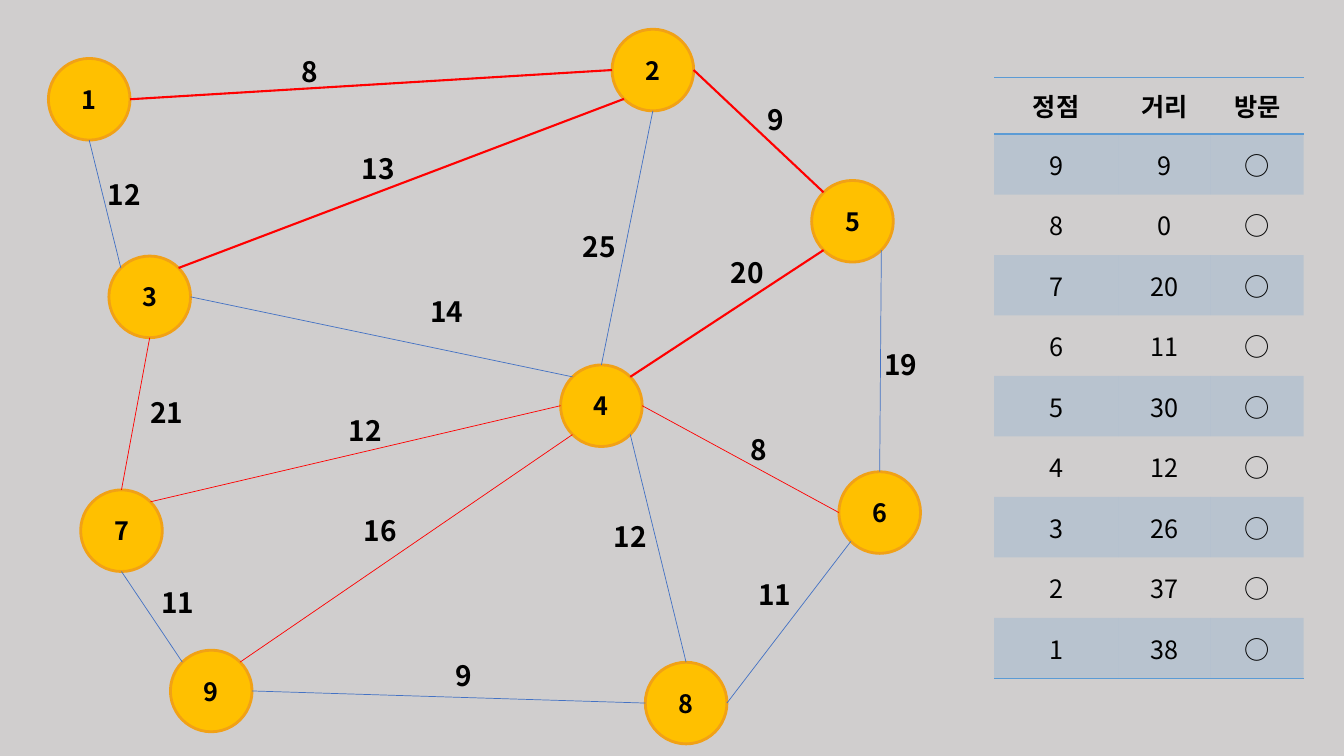
import math
from dataclasses import dataclass
from enum import Enum

from pptx import Presentation
from pptx import util as u
from pptx.dml.color import RGBColor
from pptx.enum import shapes, text
from pptx.oxml import parse_xml
from pptx.oxml.ns import nsdecls, qn
from pptx.util import Inches

BACKGROUND = RGBColor(0xD0, 0xCE, 0xCE)
BLACK = RGBColor(0, 0, 0)
AMBER = RGBColor(0xFF, 0xC0, 0x00)
ORANGE = RGBColor(0xF1, 0xA1, 0x16)
RED = RGBColor(0xFF, 0, 0)
BLUE = RGBColor(0x44, 0x72, 0xC4)
TABLE_BLUE = RGBColor(0x5B, 0x9B, 0xD5)

FONT = "Noto Sans CJK KR"
DIAMETER = 0.81
THIN, THICK = 0.5, 1.5
NO_STYLE = "{2D5ABB26-0587-4C30-8999-92F81FD0307C}"


class Side(Enum):
    """Attachment point on a node, as a clockwise angle in degrees."""
    RIGHT = 0
    LOWER_RIGHT = 45
    BOTTOM = 90
    LOWER_LEFT = 135
    LEFT = 180
    UPPER_LEFT = 225
    TOP = 270
    UPPER_RIGHT = 315


@dataclass(frozen=True)
class Node:
    """A numbered vertex and its top left corner in inches."""
    number: int
    left: float
    top: float

    def point(self, side: Side) -> tuple:
        """Return the position of a side on the rim."""
        angle, radius = math.radians(side.value), DIAMETER / 2
        return (Inches(self.left + radius * (1 + math.cos(angle))),
                Inches(self.top + radius * (1 + math.sin(angle))))


@dataclass(frozen=True)
class Edge:
    """A weighted link between two nodes, with the corner of its label."""
    start: int
    start_side: Side
    end: int
    end_side: Side
    weight: int
    left: float
    top: float
    color: RGBColor = BLUE
    width: float = THIN


NODES = {n.number: n for n in (
    Node(1, 0.48, 0.58), Node(2, 6.07, 0.29), Node(3, 1.08, 2.54),
    Node(4, 5.56, 3.62), Node(5, 8.05, 1.79), Node(6, 8.32, 4.68),
    Node(7, 0.8, 4.86), Node(8, 6.4, 6.57), Node(9, 1.69, 6.45),
)}

EDGES = (
    Edge(1, Side.RIGHT, 2, Side.LEFT, 8, 2.89, 0.49, RED, THICK),
    Edge(1, Side.BOTTOM, 3, Side.UPPER_LEFT, 12, 0.97, 1.71),
    Edge(8, Side.TOP, 4, Side.LOWER_RIGHT, 12, 5.99, 5.1),
    Edge(2, Side.BOTTOM, 4, Side.TOP, 25, 5.68, 2.23),
    Edge(4, Side.LOWER_LEFT, 9, Side.UPPER_RIGHT, 16, 3.51, 5.05, RED),
    Edge(7, Side.TOP, 3, Side.BOTTOM, 21, 1.39, 3.87, RED),
    Edge(5, Side.UPPER_LEFT, 2, Side.RIGHT, 9, 7.51, 0.97, RED, THICK),
    Edge(3, Side.RIGHT, 4, Side.UPPER_LEFT, 14, 4.17, 2.87),
    Edge(3, Side.UPPER_RIGHT, 2, Side.LOWER_LEFT, 13, 3.49, 1.45, RED, THICK),
    Edge(7, Side.UPPER_RIGHT, 4, Side.LEFT, 12, 3.36, 4.05, RED),
    Edge(4, Side.RIGHT, 6, Side.LEFT, 8, 7.35, 4.24, RED),
    Edge(5, Side.LOWER_LEFT, 4, Side.UPPER_RIGHT, 20, 7.15, 2.49, RED, THICK),
    Edge(5, Side.LOWER_RIGHT, 6, Side.TOP, 19, 8.67, 3.4),
    Edge(8, Side.RIGHT, 6, Side.LOWER_LEFT, 11, 7.42, 5.68),
    Edge(7, Side.BOTTOM, 9, Side.UPPER_LEFT, 11, 1.5, 5.76),
    Edge(9, Side.RIGHT, 8, Side.LEFT, 9, 4.42, 6.48),
)

HEADINGS = ("정점", "거리", "방문")
DISTANCES = {9: 9, 8: 0, 7: 20, 6: 11, 5: 30, 4: 12, 3: 26, 2: 37, 1: 38}
COLUMN_WIDTHS = (1.23, 0.92, 0.92)
HEADER_HEIGHT, ROW_HEIGHT = 0.56, 0.6


def write(tf, content: str, size: float, bold: bool = True,
          align=text.PP_ALIGN.CENTER) -> None:
    """Write one formatted run into a text frame."""
    p = tf.paragraphs[0]
    p.alignment = align
    r = p.add_run()
    r.text = content
    r.font.color.rgb = BLACK
    for name, value in {"name": FONT, "size": u.Pt(size), "bold": bold}.items():
        setattr(r.font, name, value)
    r._r.get_or_add_rPr().append(
        parse_xml(f'<a:ea {nsdecls("a")} typeface="{FONT}"/>'))


def add_node(s, node: Node) -> None:
    """Draw a numbered circle."""
    sp = s.shapes.add_shape(shapes.MSO_SHAPE.OVAL, Inches(node.left),
                            Inches(node.top), Inches(DIAMETER), Inches(DIAMETER))
    sp.shadow.inherit = False
    sp.fill.solid()
    sp.fill.fore_color.rgb = AMBER
    sp.line.color.rgb = ORANGE
    sp.line.width = u.Pt(2)
    sp.text_frame.vertical_anchor = text.MSO_ANCHOR.MIDDLE
    write(sp.text_frame, str(node.number), 18)


def add_edge(s, edge: Edge) -> None:
    """Draw the line of an edge and its weight."""
    line = s.shapes.add_connector(
        shapes.MSO_CONNECTOR.STRAIGHT,
        *NODES[edge.start].point(edge.start_side),
        *NODES[edge.end].point(edge.end_side))
    line.line.color.rgb = edge.color
    line.line.width = u.Pt(edge.width)
    line._element.spPr.append(parse_xml(f'<a:effectLst {nsdecls("a")}/>'))

    label = str(edge.weight)
    width = 0.36 if len(label) == 1 else 0.53
    tf = s.shapes.add_textbox(Inches(edge.left), Inches(edge.top),
                              Inches(width), Inches(0.44)).text_frame
    tf.word_wrap = False
    tf.auto_size = text.MSO_AUTO_SIZE.SHAPE_TO_FIT_TEXT
    write(tf, label, 20, align=text.PP_ALIGN.LEFT)


def add_border(cell, tag: str) -> None:
    """Add a blue border to a cell; tag is lnT or lnB."""
    cell._tc.get_or_add_tcPr().append(parse_xml(
        f'<a:{tag} {nsdecls("a")} w="{u.Pt(1)}"><a:solidFill>'
        f'<a:srgbClr val="{TABLE_BLUE}"/></a:solidFill></a:{tag}>'))


def shade(cell, banded: bool) -> None:
    """Give a cell a translucent band or no fill."""
    if not banded:
        cell.fill.background()
        return
    cell.fill.solid()
    cell.fill.fore_color.rgb = TABLE_BLUE
    color = cell._tc.tcPr.find(qn("a:solidFill")).find(qn("a:srgbClr"))
    color.append(parse_xml(f'<a:alpha {nsdecls("a")} val="20000"/>'))


def add_distance_table(s) -> None:
    """Draw the table of vertices, distances and visits."""
    rows = [HEADINGS] + [(str(v), str(d), "○") for v, d in DISTANCES.items()]
    heights = [HEADER_HEIGHT] + [ROW_HEIGHT] * len(DISTANCES)
    table = s.shapes.add_table(
        len(rows), len(HEADINGS), Inches(9.86), Inches(0.77),
        Inches(sum(COLUMN_WIDTHS)), Inches(sum(heights))).table
    table._tbl.tblPr.find(qn("a:tableStyleId")).text = NO_STYLE
    table.horz_banding = False
    for column, width in zip(table.columns, COLUMN_WIDTHS):
        column.width = Inches(width)
    for i, values in enumerate(rows):
        table.rows[i].height = Inches(heights[i])
        for j, value in enumerate(values):
            cell = table.cell(i, j)
            cell.vertical_anchor = text.MSO_ANCHOR.MIDDLE
            write(cell.text_frame, value, 18, bold=i == 0)
            if i == 0:
                add_border(cell, "lnT")
            if i in (0, len(rows) - 1):
                add_border(cell, "lnB")
            shade(cell, i % 2 == 1)


prs = Presentation()
prs.slide_width, prs.slide_height = Inches(13.33), Inches(7.5)
s = prs.slides.add_slide(prs.slide_layouts[6])
s.background.fill.solid()
s.background.fill.fore_color.rgb = BACKGROUND
add_distance_table(s)
for node in NODES.values():
    add_node(s, node)
for edge in EDGES:
    add_edge(s, edge)
prs.save("out.pptx")
